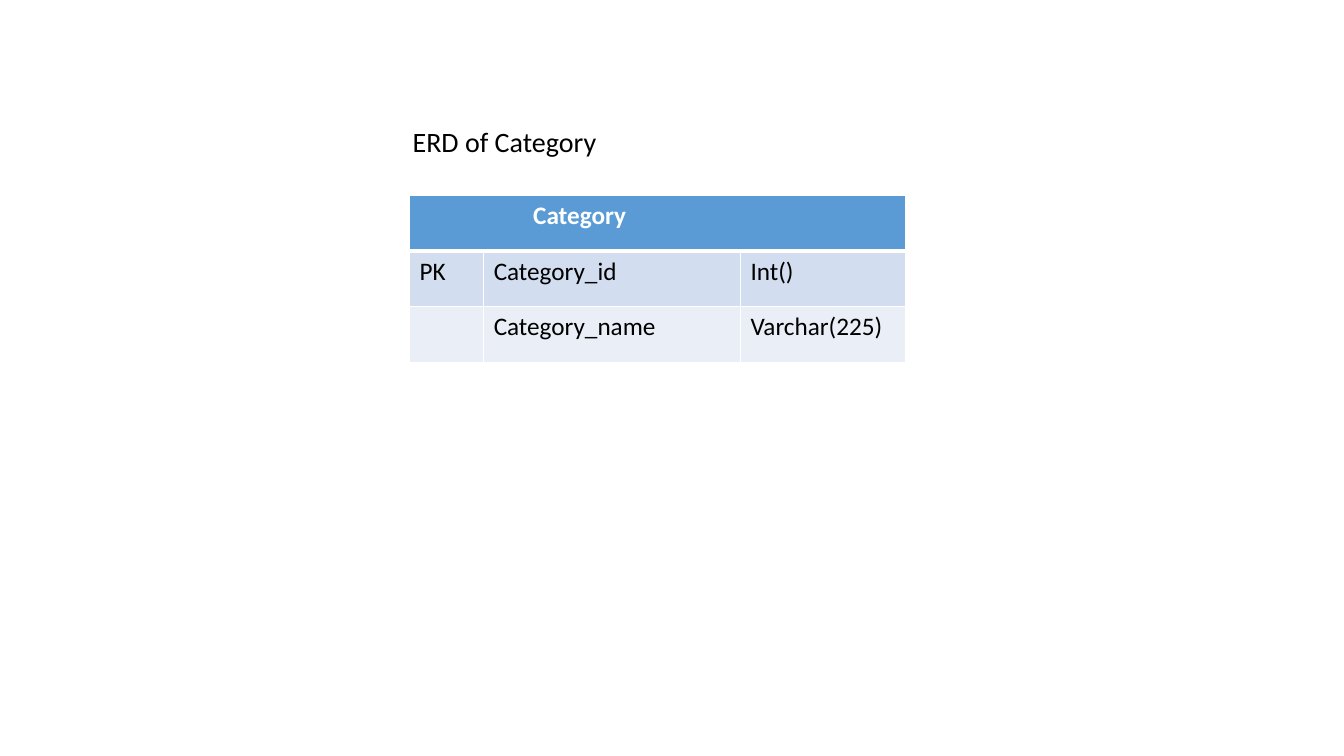
from lxml import etree
from pptx import Presentation
from pptx.dml.color import RGBColor
from pptx.oxml.ns import qn
from pptx.util import Pt

TITLE = "ERD of Category"
ENTITY = "Category"
FIELDS = [
    ("PK", "Category_id", "Int()"),
    ("", "Category_name", "Varchar(225)"),
]

FONT = "Calibri"
WHITE = RGBColor(0xFF, 0xFF, 0xFF)
BLACK = RGBColor(0, 0, 0)
HEADER = RGBColor(0x5B, 0x9B, 0xD5)
BANDS = [RGBColor(0xD2, 0xDE, 0xEF), RGBColor(0xEA, 0xEF, 0xF7)]

LEFT, TOP, ROW_H = 292.5, 139.7, 39.7
COL_W = [53, 183.5, 118]
ENTITY_INDENT = 88.4


def write(tf, text, size=18, color=BLACK, bold=False):
    """Put one formatted run of text into a text frame."""
    p = tf.paragraphs[0]
    p.font.size = Pt(size)
    if not text:
        return
    r = p.add_run()
    r.text = text
    r.font.name = FONT
    r.font.size = Pt(size)
    r.font.bold = bold
    r.font.color.rgb = color


def style_cell(cell, fill, top=1, bottom=1):
    """Fill a cell and give it white borders, widths in points."""
    cell.fill.solid()
    cell.fill.fore_color.rgb = fill
    tc_pr = cell._tc.get_or_add_tcPr()
    sides = {"lnL": 1, "lnR": 1, "lnT": top, "lnB": bottom}
    for i, (side, width) in enumerate(sides.items()):
        ln = etree.Element(qn("a:" + side), w=str(Pt(width)))
        solid = etree.SubElement(ln, qn("a:solidFill"))
        etree.SubElement(solid, qn("a:srgbClr"), val=str(WHITE))
        tc_pr.insert(i, ln)


def add_title(s):
    """Add the caption above the table."""
    tf = s.shapes.add_textbox(Pt(283), Pt(85.7), Pt(494), Pt(31.5)).text_frame
    tf.word_wrap = True
    tf.margin_left = Pt(11.7)
    write(tf, TITLE, size=20)


def add_entity(s):
    """Add the entity table: a merged header above one row per field."""
    n_rows = len(FIELDS) + 1
    table = s.shapes.add_table(n_rows, len(COL_W), Pt(LEFT), Pt(TOP),
                               Pt(sum(COL_W)), Pt(ROW_H * n_rows)).table
    for col, width in zip(table.columns, COL_W):
        col.width = Pt(width)
    for row in table.rows:
        row.height = Pt(ROW_H)

    for c in range(len(COL_W)):
        style_cell(table.cell(0, c), HEADER, bottom=3)
    head = table.cell(0, 0)
    head.merge(table.cell(0, len(COL_W) - 1))
    head.margin_left = Pt(ENTITY_INDENT)
    write(head.text_frame, ENTITY, color=WHITE, bold=True)

    for i, field in enumerate(FIELDS):
        for c, text in enumerate(field):
            cell = table.cell(i + 1, c)
            style_cell(cell, BANDS[i % 2], top=1 if i else 3)
            write(cell.text_frame, text)


prs = Presentation()
prs.slide_width, prs.slide_height = Pt(960), Pt(540)
s = prs.slides.add_slide(prs.slide_layouts[6])
add_entity(s)
add_title(s)
prs.save("out.pptx")
